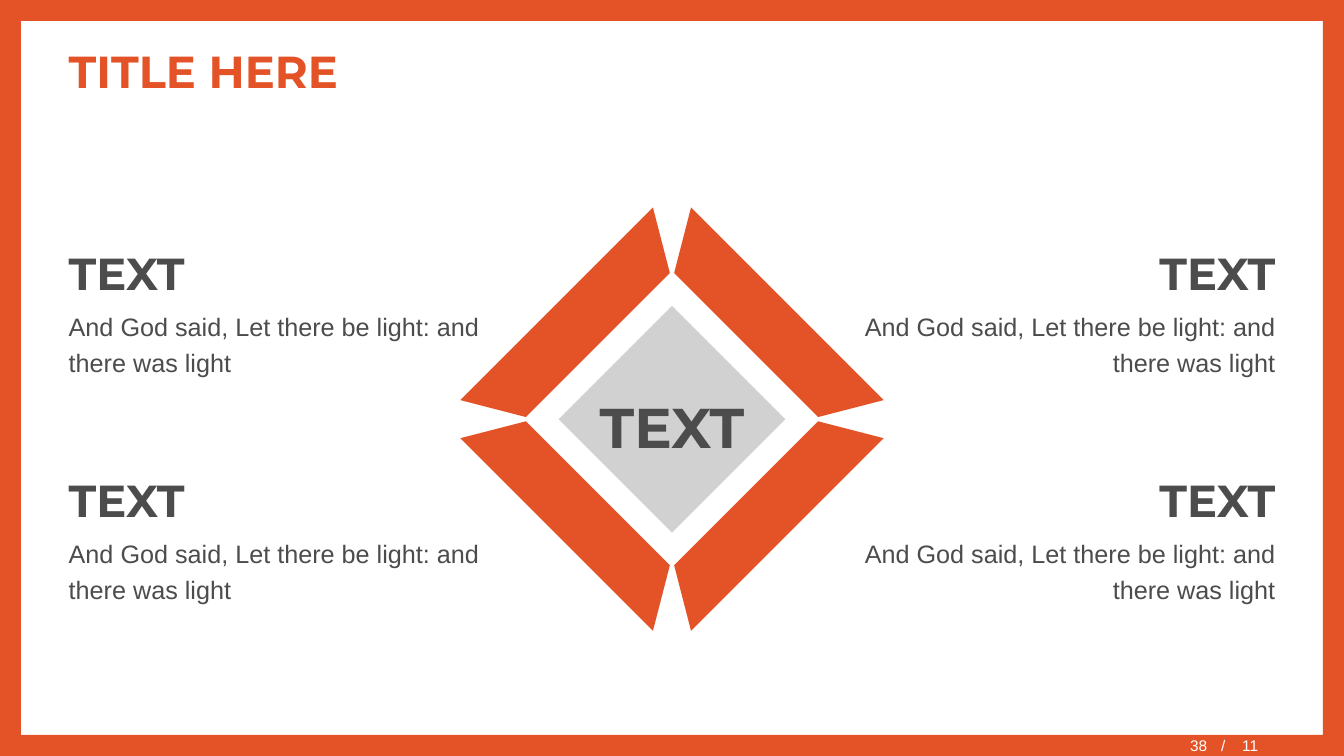
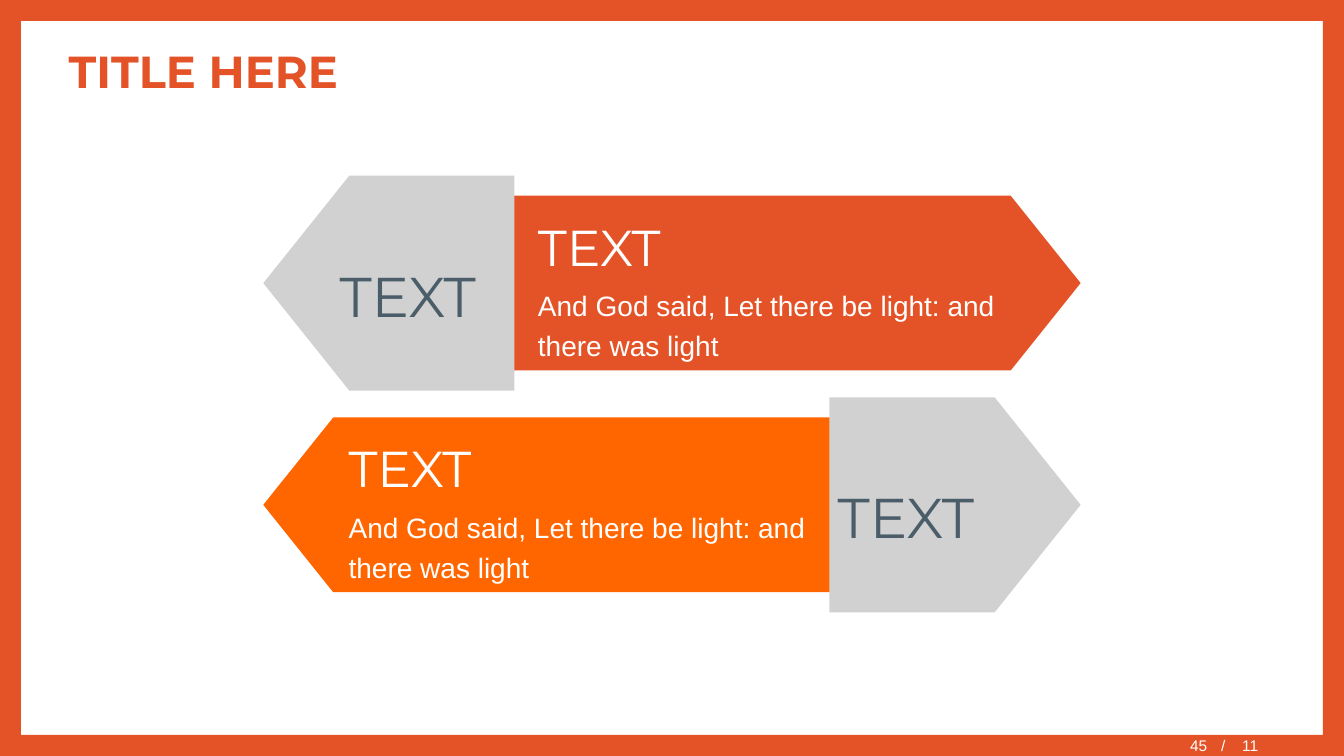
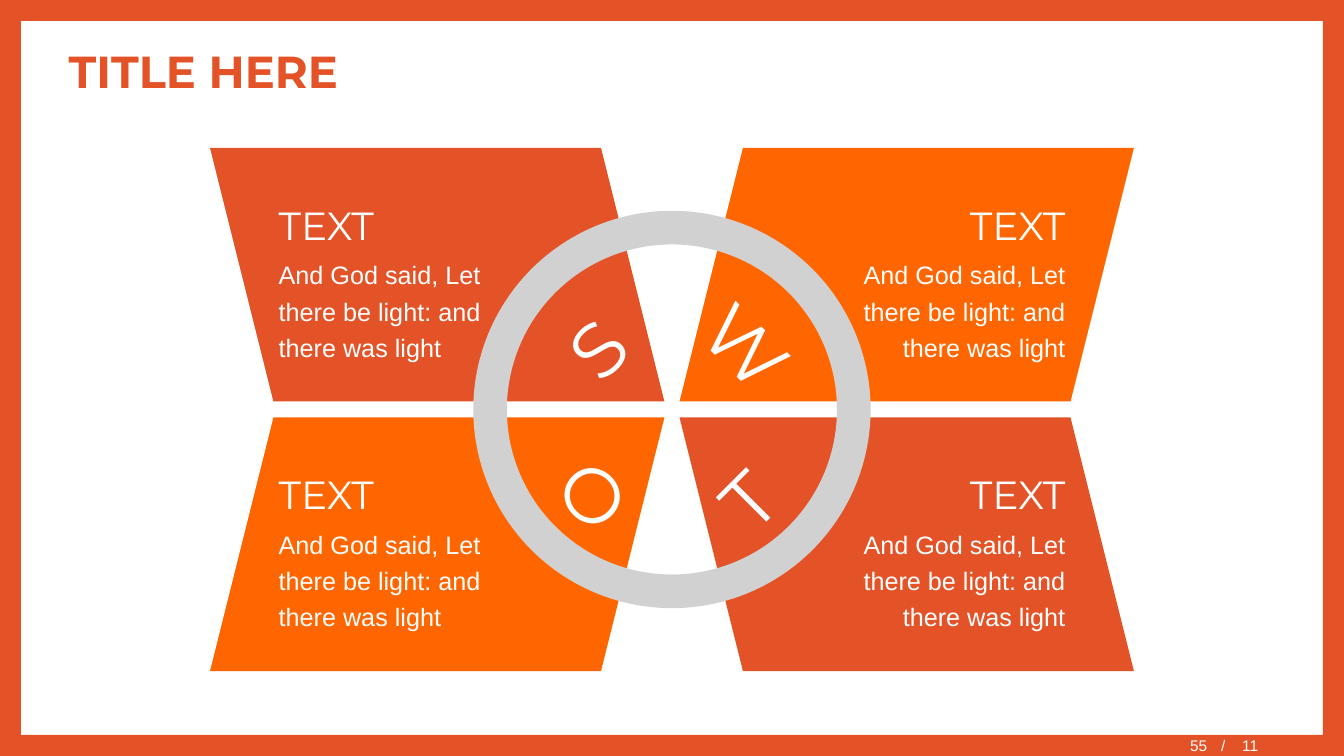
from dataclasses import dataclass
from itertools import product

from lxml.etree import SubElement
from pptx import Presentation
from pptx.dml.color import RGBColor
from pptx.enum.shapes import MSO_SHAPE
from pptx.enum.text import MSO_ANCHOR, PP_ALIGN
from pptx.oxml.ns import qn
from pptx.util import Emu, Inches, Pt

COLUMNS, ROWS = 160, 90
UNIT = Inches(1 / 12)
FRAME_THICKNESS = 2.5
RED, ORANGE, GREY = "E45327", "FF6600", "D1D1D1"
DARK, SLATE, WHITE = "4C4C4C", "4A5D69", "FFFFFF"
HEADING_FONT, BODY_FONT = "Montserrat", "Arial"
QUOTE = "And God said, Let there be light: and there was light"


@dataclass
class Box:
    left: float
    top: float
    width: float
    height: float

    def inner(self, left, top, width, height):
        return Box(self.left + left, self.top + top, width, height)

    def centred(self, width, height):
        return self.inner((self.width - width) / 2, (self.height - height) / 2, width, height)

    def emu(self):
        return [grid(value) for value in (self.left, self.top, self.width, self.height)]


@dataclass
class Line:
    text: str
    size: float
    font: str = HEADING_FONT
    bold: bool = False


def grid(value):
    return Emu(round(value * UNIT))


def color(value):
    return RGBColor.from_string(value)


def paint(shape, fill):
    shape.fill.solid()
    shape.fill.fore_color.rgb = color(fill)
    shape.line.fill.background()
    shape.shadow.inherit = False


def add_preset(slide, kind, box, fill, adjustment=None, flip=False):
    shape = slide.shapes.add_shape(kind, *box.emu())
    paint(shape, fill)
    if adjustment is not None:
        shape.adjustments[0] = adjustment
    if flip:
        shape.element.spPr.xfrm.set("flipH", "1")
    return shape


def write(shape, lines, ink, align=PP_ALIGN.LEFT, anchor=MSO_ANCHOR.TOP, spacing=1.2):
    frame = shape.text_frame
    frame.word_wrap = True
    frame.vertical_anchor = anchor
    for index, line in enumerate(lines):
        paragraph = frame.add_paragraph() if index else frame.paragraphs[0]
        paragraph.text = line.text
        paragraph.alignment = align
        paragraph.line_spacing = spacing
        paragraph.space_before = Pt(2 if index else 0)
        paragraph.space_after = Pt(2)
        paragraph.font.size = Pt(line.size)
        paragraph.font.name = line.font
        paragraph.font.bold = line.bold
        paragraph.font.color.rgb = color(ink)


def add_text(slide, box, lines, ink, **style):
    shape = slide.shapes.add_textbox(*box.emu())
    write(shape, lines, ink, **style)
    return shape


def add_caption(slide, box, heading, size, ink, right):
    align = PP_ALIGN.RIGHT if right else PP_ALIGN.LEFT
    add_text(slide, box, [heading, Line(QUOTE, size, BODY_FONT)], ink, align=align)


def add_page_number(slide, box, number):
    total = box.inner(30.4, 0, 15.7, box.height)
    current = box.inner(0, 0, 31.1, box.height)
    for part, text, align in ((total, "/\t11", PP_ALIGN.LEFT), (current, number, PP_ALIGN.RIGHT)):
        shape = slide.shapes.add_textbox(*part.emu())
        frame = shape.text_frame
        frame.margin_top = frame.margin_bottom = 0
        if "\t" in text:
            properties = frame.paragraphs[0]._p.get_or_add_pPr()
            stops = SubElement(properties, qn("a:tabLst"))
            SubElement(stops, qn("a:tab"), pos=str(grid(2.5)), algn="l")
        write(shape, [Line(text, 11, BODY_FONT)], WHITE, align, MSO_ANCHOR.MIDDLE, 1)


def start_slide(presentation, number):
    slide = presentation.slides.add_slide(presentation.slide_layouts[6])
    page = Box(0, 0, COLUMNS, ROWS)
    add_preset(slide, MSO_SHAPE.FRAME, page, RED, FRAME_THICKNESS / ROWS)
    add_text(slide, page.inner(7, 3.7, 146, 9.5), [Line("TITLE HERE", 32, bold=True)], RED,
             anchor=MSO_ANCHOR.MIDDLE, spacing=1)
    add_page_number(slide, page.inner(113.8, 87.6, 46.2, 2.2), number)
    return slide


def add_diamond(slide, box):
    core = box.centred(27, 27)
    add_preset(slide, MSO_SHAPE.DIAMOND, core, GREY)
    half = box.width / 2
    corners = [(0.09, 1), (0.01, 0.69), (0.69, 0.01), (1, 0.09)]
    for side, end in product((-1, 1), repeat=2):
        points = [(grid(box.left + half * (1 + side * x)), grid(box.top + half * (1 + end * y)))
                  for x, y in corners]
        builder = slide.shapes.build_freeform(*points[0])
        builder.add_line_segments(points[1:])
        paint(builder.convert_to_shape(), RED)
    add_text(slide, box.centred(22.2, 11), [Line("TEXT", 40, bold=True)], DARK,
             align=PP_ALIGN.CENTER, anchor=MSO_ANCHOR.MIDDLE)


def add_banner(slide, box, fill, mirrored):
    plate_width, tag_width, rim = 70.6, 29.9, 2.4
    plate_left, tag_left = box.width - plate_width, 0
    label_left = 7.9
    if mirrored:
        plate_left, tag_left = 0, box.width - tag_width
        label_left = tag_left - 0.2
    plate_box = box.inner(plate_left, rim, plate_width, box.height - 2 * rim)
    plate = add_preset(slide, MSO_SHAPE.PENTAGON, plate_box, fill, 0.4, mirrored)
    plate.text_frame.margin_left = grid(6)
    write(plate, [Line("TEXT", 36), Line(QUOTE, 20, BODY_FONT)], WHITE, anchor=MSO_ANCHOR.MIDDLE)
    tag_box = box.inner(tag_left, 0, tag_width, box.height)
    add_preset(slide, MSO_SHAPE.PENTAGON, tag_box, GREY, 0.4, not mirrored)
    add_text(slide, box.inner(label_left, 8, 22.2, 11), [Line("TEXT", 40)], SLATE)


def add_swot_ring(slide, box):
    add_preset(slide, MSO_SHAPE.DONUT, box, GREY, 4 / box.width)
    letters = [("S", 9.9, 8.1, 9, 315), ("W", 27.3, 7.8, 11.5, 45),
               ("O", 10.3, 25.8, 10, 45), ("T", 27.9, 25.9, 9, 315)]
    for letter, left, top, width, rotation in letters:
        shape = add_text(slide, box.inner(left, top, width, 14.3), [Line(letter, 54)], WHITE)
        shape.rotation = rotation


def build_diamond_slide(presentation):
    slide = start_slide(presentation, "38")
    add_diamond(slide, Box(54.8, 24.7, 50.4, 50.4))
    for row, column in product(range(2), repeat=2):
        box = Box(7 + 92 * column, 27.4 + 27 * row, 54, 18.4)
        add_caption(slide, box, Line("TEXT", 32, bold=True), 18, DARK, column == 1)


def build_banner_slide(presentation):
    slide = start_slide(presentation, "45")
    for row, fill in enumerate((RED, ORANGE)):
        add_banner(slide, Box(31.35, 20.9 + 26.4 * row, 97.3, 25.6), fill, row == 1)


def build_swot_slide(presentation):
    slide = start_slide(presentation, "55")
    area = Box(25, 17.6, 110, 62.3)
    width, height = 54.1, 30.2
    panels = [(row, column, area.inner(column * (area.width - width),
                                       row * (area.height - height), width, height))
              for row, column in product(range(2), repeat=2)]
    for row, column, panel in panels:
        same = row == column
        add_preset(slide, MSO_SHAPE.PARALLELOGRAM, panel, RED if same else ORANGE, 0.25, same)
    add_swot_ring(slide, area.centred(47.3, 47.3))
    for row, column, panel in panels:
        box = panel.inner(7 + column * (width - 44), 4.6, 30, 21.7)
        add_caption(slide, box, Line("TEXT", 28), 18, WHITE, column == 1)


def main():
    presentation = Presentation()
    presentation.slide_width, presentation.slide_height = grid(COLUMNS), grid(ROWS)
    build_diamond_slide(presentation)
    build_banner_slide(presentation)
    build_swot_slide(presentation)
    presentation.save("out.pptx")


if __name__ == "__main__":
    main()
